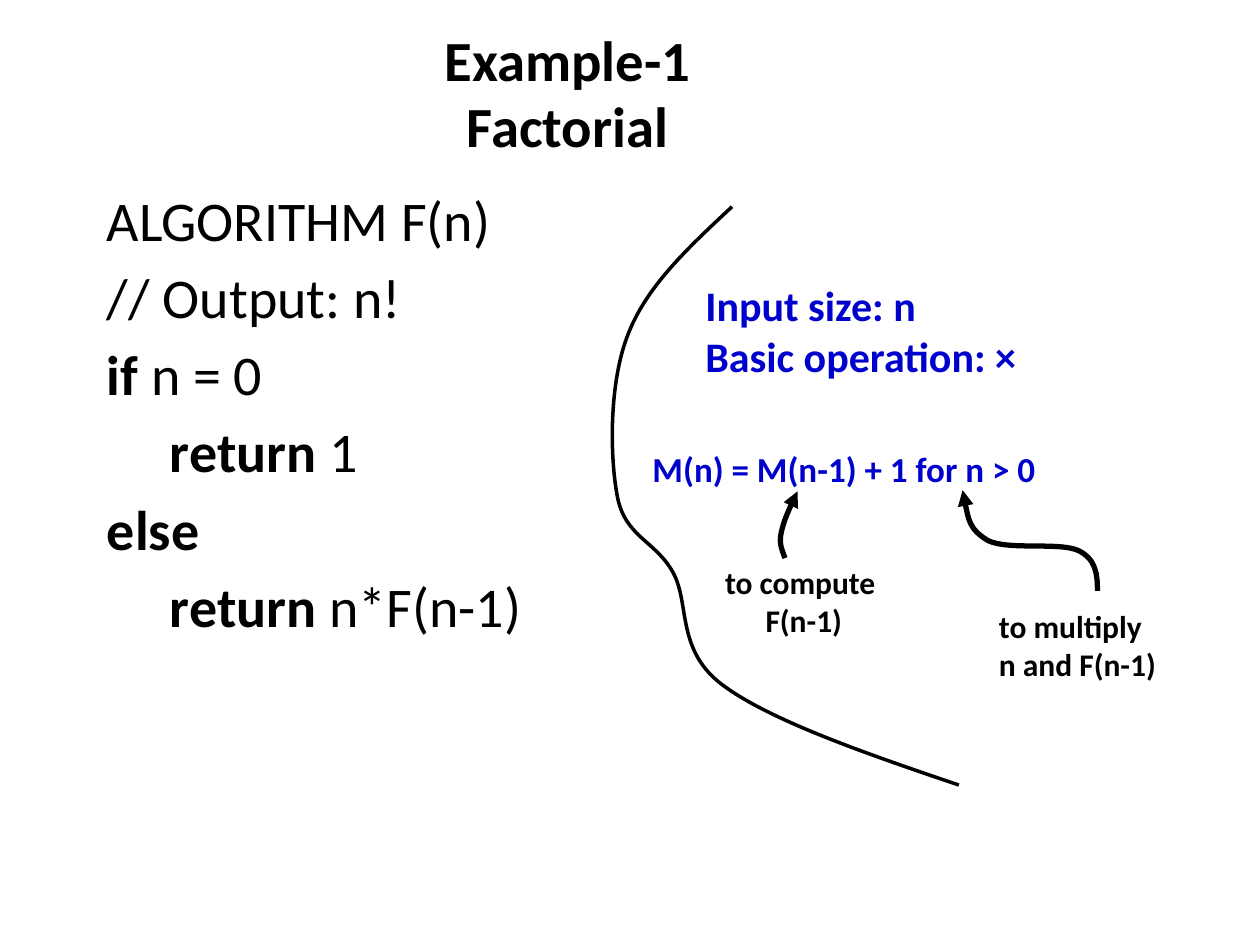
import copy
from dataclasses import dataclass

import pptx
import pptx.dml.color
import pptx.enum.text
import pptx.oxml.ns
import pptx.oxml.xmlchemy
import pptx.util

Inches = pptx.util.Inches
Pt = pptx.util.Pt
qn = pptx.oxml.ns.qn
Element = pptx.oxml.xmlchemy.OxmlElement
Align = pptx.enum.text.PP_ALIGN
Anchor = pptx.enum.text.MSO_ANCHOR


@dataclass(frozen=True)
class Theme:
    font: str = "Calibri"
    ink: str = "000000"
    blue: str = "0000CC"
    title: float = 32.4
    code: float = 32
    fact: float = 24
    rule: float = 20
    note: float = 18
    edge: float = 2
    arrow: float = 3


THEME = Theme()


def color(code):
    return pptx.dml.color.RGBColor.from_string(code)


def write(shape, text, size, ink=THEME.ink, bold=False, align=Align.LEFT,
          gap=0, pitch=None, anchor=Anchor.TOP):
    frame = shape.text_frame
    frame.word_wrap = True
    frame.vertical_anchor = anchor
    for row, line in enumerate(text.split("\n")):
        para = frame.add_paragraph() if row else frame.paragraphs[0]
        para.alignment = align
        para.space_before = Pt(gap if row else 0)
        if pitch:
            para.line_spacing = pitch
        for turn, chunk in enumerate(line.split("|")):
            for part, words in enumerate(chunk.split("\v")):
                if part:
                    para.add_line_break()
                if not words:
                    continue
                run = para.add_run()
                run.text = words
                font = run.font
                font.name = THEME.font
                font.size = Pt(size)
                font.bold = bold != (turn % 2 == 1)
                font.color.rgb = color(ink)
        for stop in para._p.findall(qn("a:br")):
            stop.append(copy.deepcopy(para.runs[0]._r.rPr))


def label(slide, box, text, size, **style):
    area = slide.shapes.add_textbox(*map(Inches, box))
    write(area, text, size, **style)


def curve(slide, left, top, points, width, head=False):
    spots = [(Inches(left + x), Inches(top + y)) for x, y in points]
    pen = slide.shapes.build_freeform(*spots[0])
    pen.add_line_segments(spots[1:], close=False)
    shape = pen.convert_to_shape()
    shape.shadow.inherit = False
    shape.fill.background()
    shape.line.color.rgb = color(THEME.ink)
    shape.line.width = Pt(width)

    trace = next(shape._element.iter(qn("a:pathLst")))[0]
    legs = trace.findall(qn("a:lnTo"))
    for start in range(0, len(legs), 3):
        bend = Element("a:cubicBezTo")
        for leg in legs[start:start + 3]:
            bend.append(leg[0])
            trace.remove(leg)
        trace.append(bend)
    if head:
        tip = Element("a:tailEnd")
        tip.set("type", "triangle")
        shape._element.spPr.find(qn("a:ln")).append(tip)


def header(slide, box):
    title = slide.shapes.title
    title.left, title.top, title.width, title.height = map(Inches, box)
    write(title, "Example-1\vFactorial", THEME.title, bold=True,
          align=Align.CENTER, pitch=0.97, anchor=Anchor.MIDDLE)


def code(slide, box):
    text = ("ALGORITHM F(n)\n// Output: n!\n|if| n = 0\n"
            "\t|return| 1\n|else\n\t|return |n*F(n-1)")
    label(slide, box, text, THEME.code, gap=5.75)


def facts(slide, box):
    left, top, width, height = box
    label(slide, (left + 0.42, top, 3.18, 0.91),
          "Input size: n\nBasic operation: ×", THEME.fact,
          ink=THEME.blue, bold=True)
    label(slide, (left, top + 1.33, 4.15, 0.44),
          "M(n) = M(n-1) + 1 for n > 0", THEME.rule,
          ink=THEME.blue, bold=True)
    label(slide, (left + 0.47, top + 2.25, 1.66, 0.71),
          "to compute \nF(n-1)", THEME.note, bold=True, align=Align.CENTER)
    label(slide, (left + width - 1.75, top + height - 0.71, 1.75, 0.71),
          "to multiply\nn and F(n-1)", THEME.note, bold=True)
    curve(slide, left + 1.15, top + 2.26,
          [(0, 0), (-0.02, -0.06), (-0.05, -0.11), (-0.03, -0.2),
           (-0.01, -0.29), (0.04, -0.41), (0.1, -0.53)],
          THEME.arrow, head=True)
    curve(slide, left + 3.63, top + 2.52,
          [(0, 0), (0, -0.13), (-0.01, -0.25), (-0.15, -0.32),
           (-0.3, -0.39), (-0.71, -0.32), (-0.87, -0.4),
           (-1.02, -0.49), (-1.04, -0.64), (-1.07, -0.8)],
          THEME.arrow, head=True)


def divider(slide, box):
    left, top = box[:2]
    curve(slide, left, top,
          [(0.95, 0), (0.62, 0.31), (0.28, 0.62), (0.13, 1),
           (-0.03, 1.39), (-0.02, 1.99), (0.04, 2.3),
           (0.1, 2.62), (0.34, 2.65), (0.48, 2.9),
           (0.62, 3.15), (0.5, 3.52), (0.88, 3.8),
           (1.26, 4.08), (2.01, 4.34), (2.75, 4.59)], THEME.edge)


def main():
    deck = pptx.Presentation()
    deck.slide_width, deck.slide_height = Inches(10), Inches(7.5)
    slide = deck.slides.add_slide(deck.slide_layouts[5])
    header(slide, (0.75, 0.17, 7.51, 1.17))
    code(slide, (0.75, 1.42, 8.42, 4.58))
    facts(slide, (5.08, 2.17, 4.5, 3.31))
    divider(slide, (4.86, 1.64, 2.75, 4.59))
    deck.save("out.pptx")


if __name__ == "__main__":
    main()
